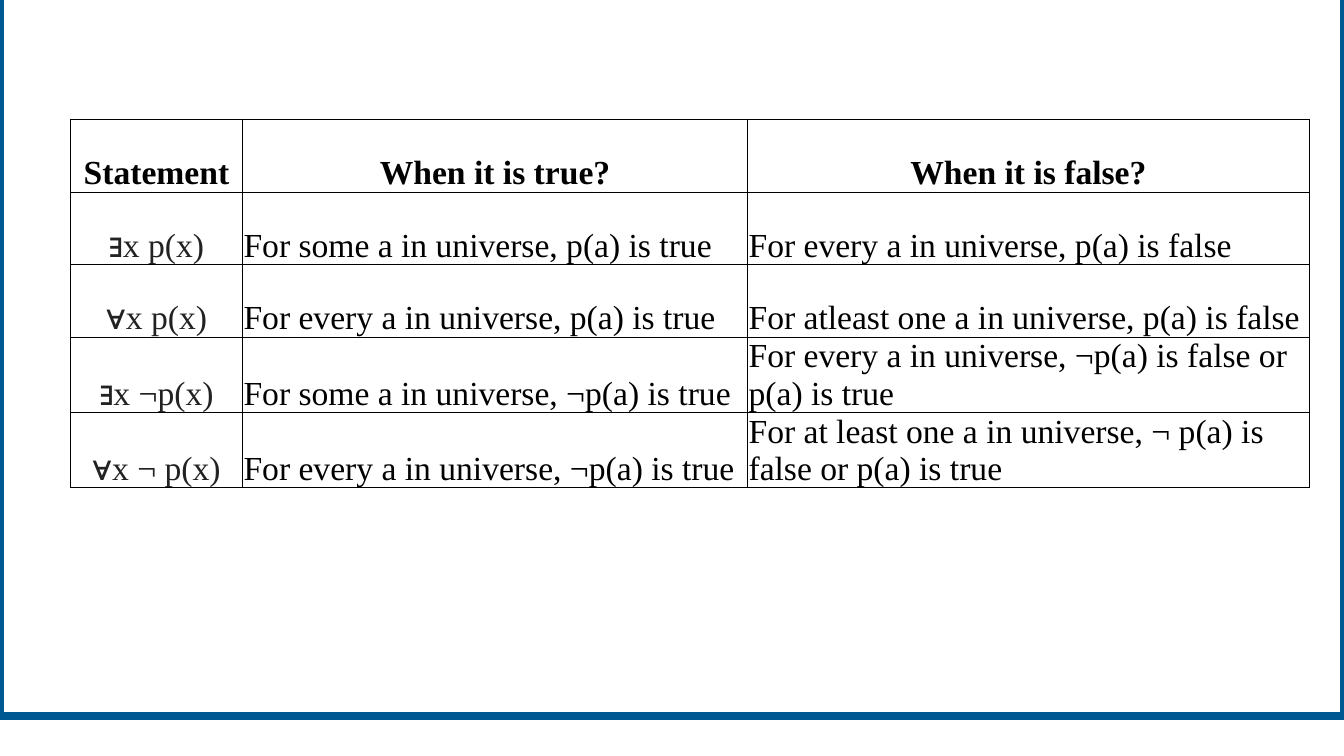
from lxml import etree
from pptx import Presentation
from pptx.dml.color import RGBColor
from pptx.enum.shapes import MSO_SHAPE
from pptx.enum.text import MSO_ANCHOR, PP_ALIGN
from pptx.oxml.ns import qn
from pptx.util import Pt

RECT = MSO_SHAPE.RECTANGLE
BOTTOM = MSO_ANCHOR.BOTTOM
LEFT, CENTER = PP_ALIGN.LEFT, PP_ALIGN.CENTER
WHITE = RGBColor(0xFF, 0xFF, 0xFF)
BLACK = RGBColor(0x00, 0x00, 0x00)
GRAY = RGBColor(0x22, 0x22, 0x22)
BLUE = RGBColor(0x00, 0x58, 0x93)
SCALE = 9525

ROWS = [
    ("Statement", "When it is true?", "When it is false?"),
    ("∃x p(x)", "For some a in universe, p(a) is true",
     "For every a in universe, p(a) is false"),
    ("∀x p(x)", "For every a in universe, p(a) is true",
     "For atleast one a in universe, p(a) is false"),
    ("∃x ¬p(x)", "For some a in universe, ¬p(a) is true",
     "For every a in universe, ¬p(a) is false or p(a) is true"),
    ("∀x ¬ p(x)", "For every a in universe, ¬p(a) is true",
     "For at least one a in universe, ¬ p(a) is false or p(a) is true"),
]


def px(count):
    return count * SCALE


class Deck:
    font = "Times New Roman"
    size = Pt(24)
    rule = Pt(0.75)

    def __init__(self, width, height):
        self.show = Presentation()
        self.show.slide_width = px(width)
        self.show.slide_height = px(height)
        self.slide = self.show.slides.add_slide(self.show.slide_layouts[6])

    def frame(self, left, top, width, height, color, weight):
        box = self.slide.shapes.add_shape(
            RECT, px(left), px(top), px(width), px(height))
        box.shadow.inherit = False
        box.fill.solid()
        box.fill.fore_color.rgb = WHITE
        box.line.color.rgb = color
        box.line.width = Pt(weight)

    def border(self, cell):
        props = cell._tc.get_or_add_tcPr()
        for side in ("a:lnL", "a:lnR", "a:lnT", "a:lnB"):
            line = etree.SubElement(props, qn(side), w=str(self.rule))
            fill = etree.SubElement(line, qn("a:solidFill"))
            etree.SubElement(fill, qn("a:srgbClr"), val=str(BLACK))

    def cell(self, cell, text, align, color, bold):
        self.border(cell)
        cell.fill.background()
        cell.vertical_anchor = BOTTOM
        cell.margin_left = cell.margin_right = cell.margin_top = px(1)
        cell.margin_bottom = 0
        cell.text_frame.text = text
        para = cell.text_frame.paragraphs[0]
        para.alignment = align
        font = para.runs[0].font
        font.name, font.size, font.bold = self.font, self.size, bold
        font.color.rgb = color

    def table(self, left, top, widths, height, rows):
        grid = self.slide.shapes.add_table(
            len(rows), len(widths), px(left), px(top),
            px(sum(widths)), px(height * len(rows))).table
        for col, width in zip(grid.columns, widths):
            col.width = px(width)
        for r, row in enumerate(rows):
            grid.rows[r].height = px(height)
            for c, text in enumerate(row):
                head, first = r == 0, c == 0
                align = CENTER if head or first else LEFT
                color = GRAY if first and not head else BLACK
                self.cell(grid.cell(r, c), text, align, color, head)


def main():
    deck = Deck(1280, 720)
    deck.frame(0, -38, 1280, 720, BLUE, 6)
    deck.table(67, 114, (164, 481, 535), 69, ROWS)
    deck.show.save("out.pptx")


if __name__ == "__main__":
    main()
